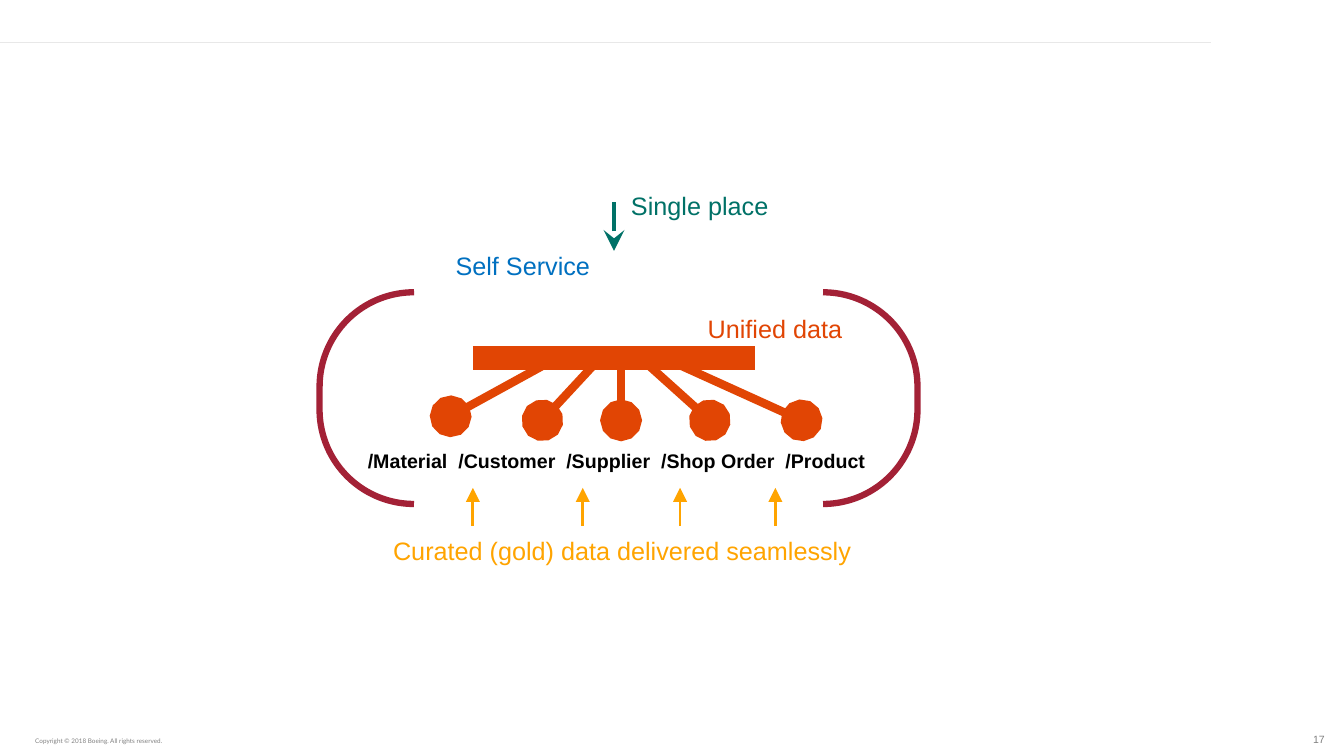
import pptx
import pptx.util
import pptx.dml.color
import pptx.enum.shapes
import pptx.enum.text
import pptx.oxml
import pptx.oxml.ns

# Grid: 133.3 columns by 75 rows of square cells
COLS, ROWS = 133.3, 75
CELL = pptx.util.Inches(0.1)

THEME = {
    "font": "Arial", "small_font": "Lato",
    "label": 18, "path": 14, "number": 7.5, "copyright": 4.5,
    "rule": "E8E8E8", "grey": "808080", "black": "000000",
    "orange": "E14504", "red": "A32136", "green": "007167",
    "blue": "0070C0", "gold": "FFA400",
}

PATHS = ["/Material", "/Customer", "/Supplier", "/Shop Order", "/Product"]
# Each data source: its node, then where its spoke meets the bar
SPOKES = [
    ((44.7, 41.3), (53.8, 36.3)),
    ((53.8, 41.7), (58.8, 36.3)),
    ((61.6, 41.7), (61.6, 36.7)),
    ((70.4, 41.7), (64.4, 36.3)),
    ((79.5, 41.7), (67.6, 36.3)),
]
DELIVERY_COLUMNS = [46.9, 57.8, 67.45, 76.9]
DELIVERY_ROWS = (52.2, 48.4)
BRACKETS = (31.7, 29, 59.3, 21)
LABELS = [
    ("Unified data", (69.2, 30.6, 15.5, 4), "orange"),
    ("Single place", (61.6, 18.4, 16.8, 4), "green"),
    ("Self Service", (44.2, 24.3, 16.8, 4), "blue"),
    ("Curated (gold) data delivered seamlessly", (38, 52.6, 52.8, 4), "gold"),
]
COPYRIGHT = "Copyright © 2018 Boeing. All rights reserved."
PAGE = "17"


def cells(values):
    return [round(v * CELL) for v in values]


def color(name):
    return pptx.dml.color.RGBColor.from_string(THEME[name])


def add_line(s, start, end, name, width, head=None, tail=None):
    """Draw a straight line; head is the ending at start, tail at end."""
    line = s.shapes.add_connector(
        pptx.enum.shapes.MSO_CONNECTOR.STRAIGHT, *cells(start + end))
    line.line.color.rgb = color(name)
    line.line.width = pptx.util.Pt(width)
    ln = line.line._get_or_add_ln()
    for tag, kind in (("headEnd", head), ("tailEnd", tail)):
        if kind:
            ln.append(pptx.oxml.parse_xml(
                f'<a:{tag} {pptx.oxml.ns.nsdecls("a")} type="{kind}" w="lg" len="lg"/>'))
    line._element.spPr.append(
        pptx.oxml.parse_xml(f'<a:effectLst {pptx.oxml.ns.nsdecls("a")}/>'))


def add_text(s, text, box, name, size, font="font", bold=False, wrap=True):
    tf = s.shapes.add_textbox(*cells(box)).text_frame
    tf.word_wrap = wrap
    tf.auto_size = pptx.enum.text.MSO_AUTO_SIZE.SHAPE_TO_FIT_TEXT
    p = tf.paragraphs[0]
    p.text = text
    p.font.name = THEME[font]
    p.font.size = pptx.util.Pt(THEME[size])
    p.font.bold = bold
    p.font.color.rgb = color(name)
    return tf


def add_footer_text(s, *args, **kwargs):
    """Add small text standing on the bottom edge of a box with thin margins."""
    tf = add_text(s, *args, **kwargs)
    tf.auto_size = pptx.enum.text.MSO_AUTO_SIZE.NONE
    tf.vertical_anchor = pptx.enum.text.MSO_ANCHOR.BOTTOM
    tf.margin_left = tf.margin_right = tf.margin_top = tf.margin_bottom = (
        pptx.util.Inches(0.01))
    return tf


def add_brackets(s):
    sp = s.shapes.add_shape(
        pptx.enum.shapes.MSO_SHAPE.DOUBLE_BRACKET, *cells(BRACKETS))
    sp.adjustments[0] = 0.446
    sp.shadow.inherit = False
    sp.fill.background()
    sp.line.color.rgb = color("red")
    sp.line.width = pptx.util.Pt(4.5)


def main():
    prs = pptx.Presentation()
    prs.slide_width, prs.slide_height = cells((COLS, ROWS))
    s = prs.slides.add_slide(prs.slide_layouts[6])

    add_line(s, (120.1, 4.2), (0, 4.2), "rule", 1)
    add_footer_text(s, COPYRIGHT, (3.4, 73.1, 22.6, 0.9), "grey", "copyright",
                    font="small_font")
    tf = add_footer_text(s, PAGE, (112, 71.4, 19.5, 2.7), "grey", "number")
    tf.paragraphs[0].alignment = pptx.enum.text.PP_ALIGN.RIGHT

    add_brackets(s)
    for node, joint in SPOKES:
        add_line(s, node, joint, "orange", 6, head="oval")
    add_line(s, (46.9, 35.5), (74.9, 35.5), "orange", 17.5)
    add_line(s, (60.9, 24.9), (60.9, 20), "green", 3, head="stealth")

    add_text(s, "  ".join(PATHS), (35.5, 44, 51.6, 3.4), "black", "path",
             bold=True, wrap=False)
    for text, box, name in LABELS:
        add_text(s, text, box, name, "label")
    bottom, top = DELIVERY_ROWS
    for x in DELIVERY_COLUMNS:
        add_line(s, (x, bottom), (x, top), "gold", 2, tail="triangle")

    prs.save("out.pptx")


if __name__ == "__main__":
    main()
